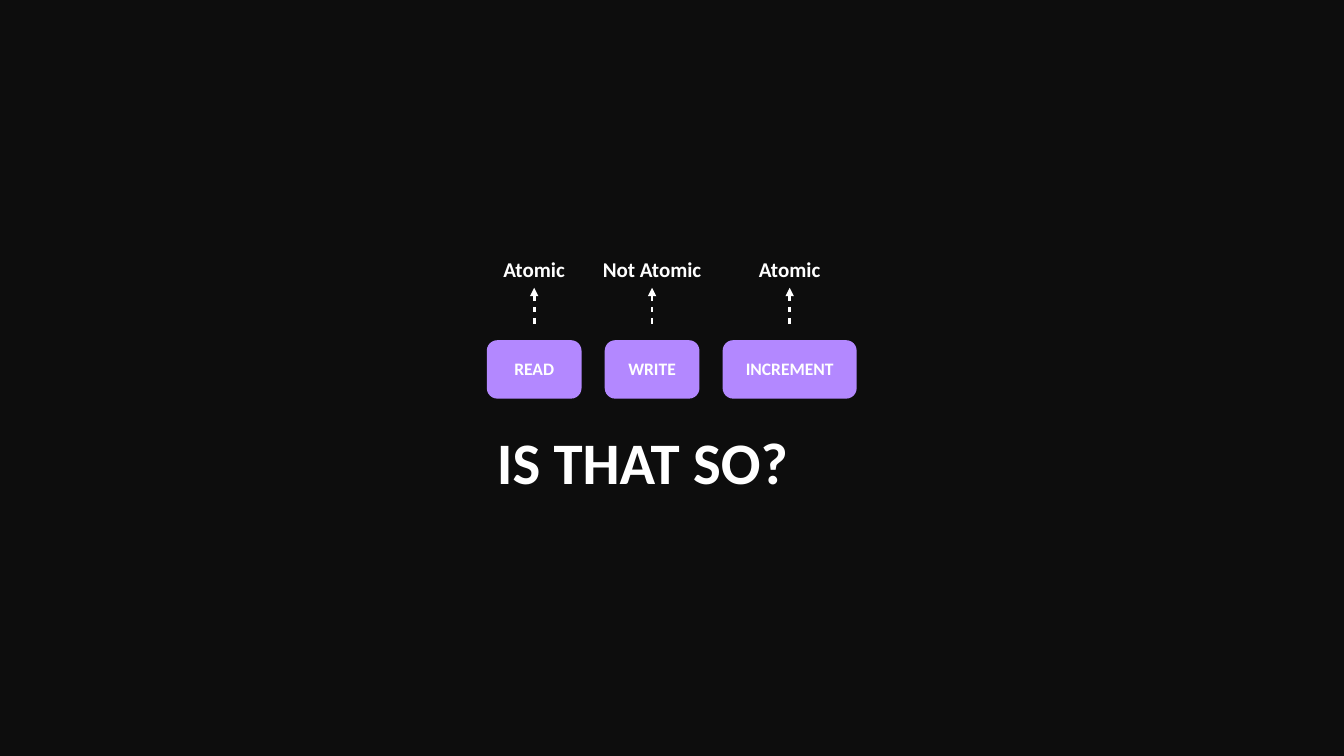
from dataclasses import dataclass
from lxml.etree import SubElement
from pptx import Presentation
from pptx.dml.color import RGBColor
from pptx.enum.shapes import MSO_CONNECTOR, MSO_SHAPE
from pptx.enum.text import MSO_ANCHOR, MSO_AUTO_SIZE, PP_ALIGN
from pptx.oxml.ns import qn
from pptx.util import Inches, Pt


@dataclass(frozen=True)
class Theme:
    dark: RGBColor = RGBColor(0x0D, 0x0D, 0x0D)
    light: RGBColor = RGBColor(0xFF, 0xFF, 0xFF)
    violet: RGBColor = RGBColor(0xB3, 0x88, 0xFF)
    font: str = "Calibri"
    small: int = 25
    label: int = 30
    title: int = 84
    line: int = 4


class Deck:
    def __init__(self, theme, slide):
        self.theme, self.slide = theme, slide
        slide.background.fill.solid()
        slide.background.fill.fore_color.rgb = theme.dark

    def style(self, shape, text, size, align=PP_ALIGN.CENTER, **extra):
        frame = shape.text_frame
        frame.text = text
        pad = Inches(0.06)
        look = {"margin_left": pad, "margin_right": pad, "margin_top": pad,
                "margin_bottom": pad, "vertical_anchor": MSO_ANCHOR.MIDDLE,
                "word_wrap": False, "auto_size": MSO_AUTO_SIZE.SHAPE_TO_FIT_TEXT}
        for name, value in (look | extra).items():
            setattr(frame, name, value)
        para = frame.paragraphs[0]
        para.alignment = align
        font = para.runs[0].font
        for name, value in {"name": self.theme.font, "size": Pt(size), "bold": True}.items():
            setattr(font, name, value)
        font.color.rgb = self.theme.light

    def title(self, text, x, y, w, h):
        shape = self.slide.shapes.title
        for name, value in {"left": x, "top": y, "width": w, "height": h}.items():
            setattr(shape, name, Inches(value))
        self.style(shape, text, self.theme.title, PP_ALIGN.LEFT,
                   word_wrap=True, auto_size=MSO_AUTO_SIZE.NONE)

    def text(self, text, mid, y, w, h, size):
        box = self.slide.shapes.add_textbox(
            Inches(mid - w / 2), Inches(y), Inches(w), Inches(h))
        self.style(box, text, size)

    def block(self, x, y, w, h):
        shape = self.slide.shapes.add_shape(
            MSO_SHAPE.ROUNDED_RECTANGLE, Inches(x), Inches(y), Inches(w), Inches(h))
        shape.adjustments[0] = 0.18
        shape.shadow.inherit = False
        shape.fill.solid()
        shape.fill.fore_color.rgb = self.theme.violet
        shape.line.fill.background()

    def arrow(self, x, top, base):
        link = self.slide.shapes.add_connector(
            MSO_CONNECTOR.STRAIGHT, Inches(x), Inches(top), Inches(x), Inches(base))
        link.line.color.rgb = self.theme.light
        link.line.width = Pt(self.theme.line)
        # Even dashes, with the arrowhead at the upper end
        line = link.line._get_or_add_ln()
        dash = SubElement(line, qn("a:custDash"))
        SubElement(dash, qn("a:ds"), d="200000", sp="200000")
        SubElement(line, qn("a:headEnd"), type="triangle")
        SubElement(link._element.spPr, qn("a:effectLst"))


def main():
    show = Presentation()
    show.slide_width, show.slide_height = Inches(26.67), Inches(15)
    theme = Theme()
    deck = Deck(theme, show.slides.add_slide(show.slide_layouts[5]))

    # Steps: name, name width, block width, verdict, verdict width
    steps = [("READ", 0.96, 1.88, "Atomic", 1.57),
             ("WRITE", 1.17, 1.88, "Not Atomic", 2.41),
             ("INCREMENT", 2.01, 2.66, "Atomic", 1.57)]
    left, gap = 9.66, 0.46
    for name, wide, span, verdict, room in steps:
        mid = left + span / 2
        deck.block(left, 6.75, span, 1.16)
        deck.text(name, mid, 7.03, wide, 0.58, theme.small)
        deck.arrow(mid, 5.71, 6.51)
        deck.text(verdict, mid, 4.99, room, 0.68, theme.label)
        left += span + gap

    # Closing question
    deck.title("IS THAT SO?", 9.8, 8.3, 7.06, 1.71)
    show.save("out.pptx")


if __name__ == "__main__":
    main()
